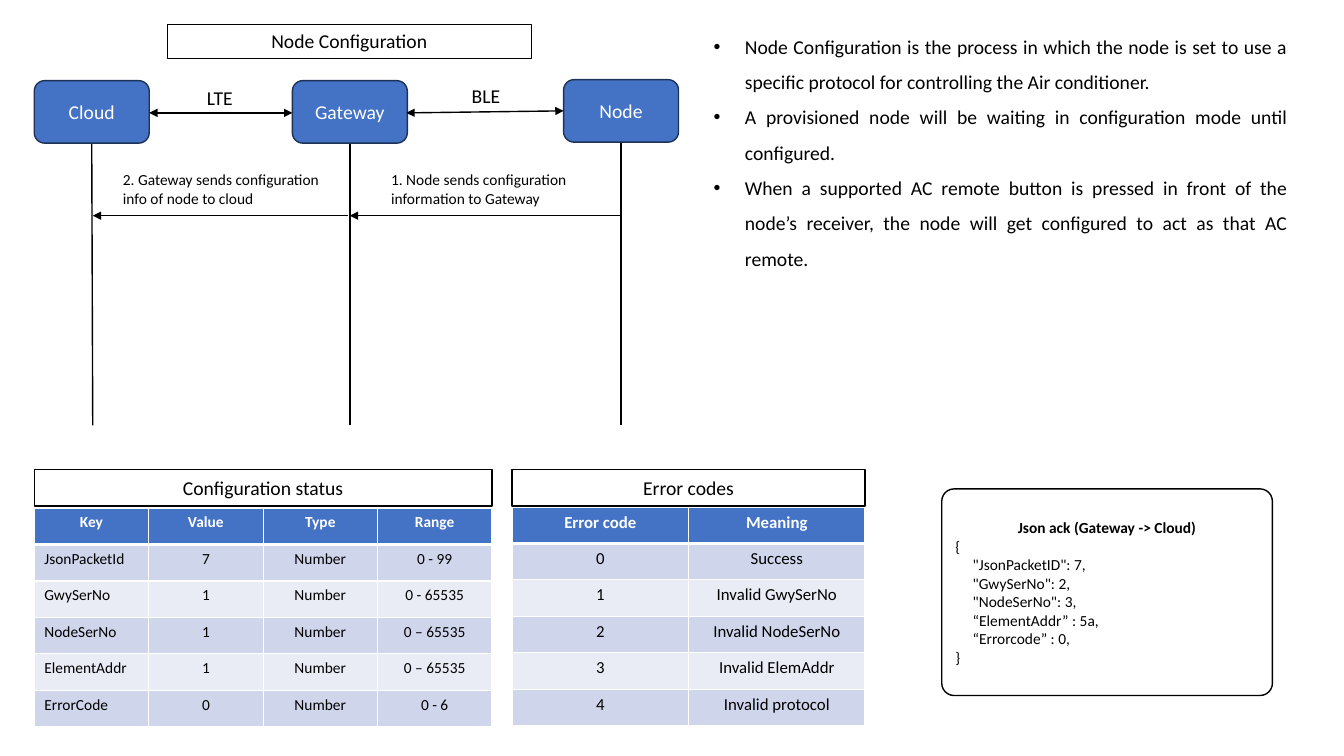
from lxml.etree import SubElement
from pptx import Presentation
from pptx.dml.color import RGBColor
from pptx.enum.shapes import MSO_CONNECTOR as Connector, MSO_SHAPE as Shape
from pptx.enum.text import MSO_ANCHOR as Anchor, PP_ALIGN as Align
from pptx.oxml.ns import qn
from pptx.util import Pt

EMU_PER_PX = 9144
BLACK, WHITE, BLUE, NAVY = "000000", "FFFFFF", "4472C4", "1E3256"
BANDS = ("CFD5EA", "E9EBF5")
NODE_WIDTH, NODE_HEIGHT = 114, 62
LIFELINE_END = 422
MESSAGE_Y = 214

NODES = [("Cloud", 34, 80), ("Gateway", 290, 80), ("Node", 559, 79)]
LIFELINES = [(91, 143, 92), (347, 143, 347), (616, 141, 616)]
LINKS = [("LTE", 176, 80, (148, 112, 290, 112)), ("BLE", 440, 78, (403, 112, 559, 110))]
MESSAGES = [
    ("1. Node sends configuration information to Gateway", 378, 616, 347),
    ("2. Gateway sends configuration info of node to cloud", 112, 345, 92),
]
NOTES = [
    "Node Configuration is the process in which the node is set to use a specific protocol "
    "for controlling the Air conditioner.",
    "A provisioned node will be waiting in configuration mode until configured.",
    "When a supported AC remote button is pressed in front of the node’s receiver, "
    "the node will get configured to act as that AC remote.",
]
STATUS_ROWS = [
    ("Key", "Value", "Type", "Range"),
    ("JsonPacketId", "7", "Number", "0 - 99"),
    ("GwySerNo", "1", "Number", "0 - 65535"),
    ("NodeSerNo", "1", "Number", "0 – 65535"),
    ("ElementAddr", "1", "Number", "0 – 65535"),
    ("ErrorCode", "0", "Number", "0 - 6"),
]
ERROR_ROWS = [
    ("Error code", "Meaning"),
    ("0", "Success"),
    ("1", "Invalid GwySerNo"),
    ("2", "Invalid NodeSerNo"),
    ("3", "Invalid ElemAddr"),
    ("4", "Invalid protocol"),
]
JSON_LINES = [
    "{",
    '     "JsonPacketID": 7,',
    '     "GwySerNo": 2,',
    '     "NodeSerNo": 3,',
    "     “ElementAddr” : 5a,",
    "     “Errorcode” : 0,",
    "}",
]


def px(*lengths):
    return [length * EMU_PER_PX for length in lengths]


def color(value):
    return RGBColor.from_string(value)


def add_bullet(paragraph, indent=31):
    properties = paragraph._p.get_or_add_pPr()
    properties.set("marL", str(indent * EMU_PER_PX))
    properties.set("indent", str(-indent * EMU_PER_PX))
    SubElement(properties, qn("a:buFont")).set("typeface", "Arial")
    SubElement(properties, qn("a:buChar")).set("char", "•")


def write(frame, text, size=14, fill=BLACK, bold=False, align=Align.CENTER,
          spacing=None, bullet=False, append=False):
    paragraph = frame.add_paragraph() if append else frame.paragraphs[0]
    if bullet:
        add_bullet(paragraph)
    paragraph.alignment = align
    if spacing:
        paragraph.line_spacing = spacing
    run = paragraph.add_run()
    run.text = text
    run.font.name = "Calibri"
    run.font.size = Pt(size)
    run.font.bold = bold
    run.font.color.rgb = color(fill)


def paint(shape, fill, line):
    shape.fill.solid()
    shape.fill.fore_color.rgb = color(fill)
    shape.line.color.rgb = color(line)
    shape.line.width = Pt(1)


def add_box(slide, kind, box, fill=WHITE, line=BLACK):
    shape = slide.shapes.add_shape(kind, *px(*box))
    shape.shadow.inherit = False
    paint(shape, fill, line)
    shape.text_frame.word_wrap = True
    shape.text_frame.vertical_anchor = Anchor.MIDDLE
    return shape


def add_label(slide, box, text, **text_format):
    frame = slide.shapes.add_textbox(*px(*box)).text_frame
    frame.word_wrap = True
    write(frame, text, **text_format)
    return frame


def add_line(slide, points, arrows=()):
    connector = slide.shapes.add_connector(Connector.STRAIGHT, *px(*points))
    connector.line.color.rgb = color(BLACK)
    connector.line.width = Pt(1)
    for end in arrows:
        SubElement(connector.line._ln, qn(f"a:{end}")).set("type", "triangle")
    SubElement(connector._element.spPr, qn("a:effectLst"))


def add_border(cell, side, width):
    border = SubElement(cell._tc.get_or_add_tcPr(), qn(f"a:ln{side}"))
    border.set("w", str(Pt(width)))
    fill = SubElement(border, qn("a:solidFill"))
    SubElement(fill, qn("a:srgbClr")).set("val", WHITE)


def add_captioned_table(slide, caption, rows, left, top, width, size, left_column=False):
    table = slide.shapes.add_table(
        len(rows), len(rows[0]), *px(left, top, width, 217)).table
    for row_index, values in enumerate(rows):
        header = row_index == 0
        for column_index, value in enumerate(values):
            cell = table.cell(row_index, column_index)
            for side in "LRTB":
                thick = header and side == "B" or row_index == 1 and side == "T"
                add_border(cell, side, 3 if thick else 1)
            cell.fill.solid()
            cell.fill.fore_color.rgb = color(BLUE if header else BANDS[(row_index - 1) % 2])
            flush = left_column and column_index == 0 and not header
            write(cell.text_frame, value, size=size, bold=header,
                  fill=WHITE if header else BLACK,
                  align=Align.LEFT if flush else Align.CENTER)
    box = add_box(slide, Shape.RECTANGLE, (left, 466, width, 36))
    write(box.text_frame, caption)


def add_title(slide, text, box):
    title = slide.shapes.title
    title.left, title.top, title.width, title.height = px(*box)
    paint(title, WHITE, BLACK)
    title.text_frame.vertical_anchor = Anchor.TOP
    write(title.text_frame, text)


def add_sequence_diagram(slide):
    for top_x, top_y, bottom_x in LIFELINES:
        add_line(slide, (top_x, top_y, bottom_x, LIFELINE_END))
    for name, left, top in NODES:
        box = add_box(slide, Shape.ROUNDED_RECTANGLE,
                      (left, top, NODE_WIDTH, NODE_HEIGHT), BLUE, NAVY)
        write(box.text_frame, name, fill=WHITE)
    for name, left, top, points in LINKS:
        add_line(slide, points, ("headEnd", "tailEnd"))
        add_label(slide, (left, top, 84, 34), name)
    for text, left, start, end in MESSAGES:
        add_line(slide, (start, MESSAGE_Y, end, MESSAGE_Y), ("tailEnd",))
        add_label(slide, (left, 164, 229, 47), text, size=11, align=Align.LEFT)


def add_json_card(slide):
    card = add_box(slide, Shape.ROUNDED_RECTANGLE, (934, 485, 328, 205))
    card.adjustments[0] = 0.06
    write(card.text_frame, "Json ack (Gateway -> Cloud)", size=11, bold=True)
    for line in JSON_LINES:
        write(card.text_frame, line, size=11, align=Align.JUSTIFY, append=True)


def add_notes_list(slide):
    style = dict(align=Align.JUSTIFY, spacing=1.5, bullet=True)
    frame = add_label(slide, (698, 18, 589, 254), NOTES[0], **style)
    for note in NOTES[1:]:
        write(frame, note, append=True, **style)


def main():
    presentation = Presentation()
    presentation.slide_width, presentation.slide_height = px(1333, 750)
    slide = presentation.slides.add_slide(presentation.slide_layouts[5])
    add_title(slide, "Node Configuration", (166, 24, 361, 34))
    add_sequence_diagram(slide)
    add_captioned_table(slide, "Configuration status", STATUS_ROWS, 34, 504, 454, 11,
                        left_column=True)
    add_captioned_table(slide, "Error codes", ERROR_ROWS, 508, 503, 350, 12)
    add_json_card(slide)
    add_notes_list(slide)
    presentation.save("out.pptx")


if __name__ == "__main__":
    main()
